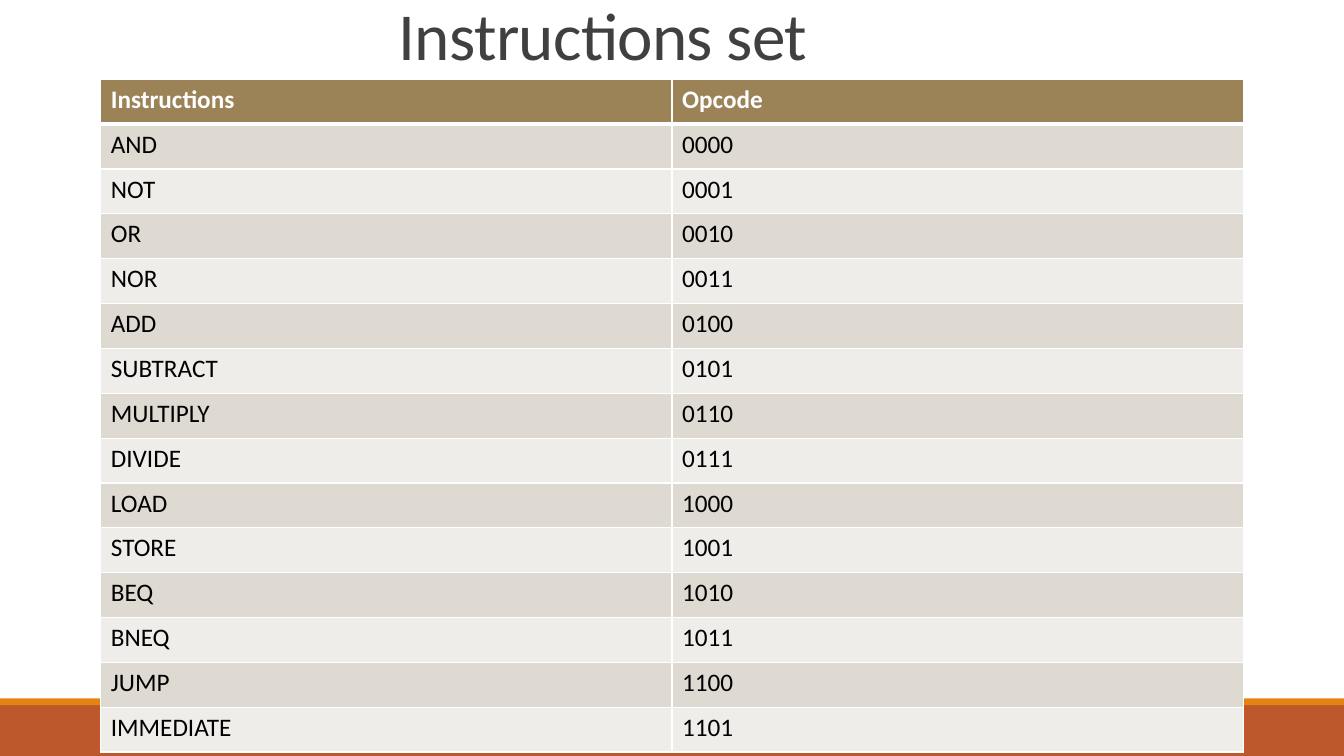
from lxml import etree
from pptx import Presentation
from pptx.dml.color import RGBColor
from pptx.enum.shapes import MSO_SHAPE
from pptx.enum.text import MSO_ANCHOR, PP_ALIGN
from pptx.oxml.ns import qn
from pptx.util import Cm, Pt

RECTANGLE = MSO_SHAPE.RECTANGLE
BOTTOM = MSO_ANCHOR.BOTTOM
CENTER = PP_ALIGN.CENTER

WHITE = RGBColor(0xFF, 0xFF, 0xFF)
BLACK = RGBColor(0x00, 0x00, 0x00)
GREY = RGBColor(0x40, 0x40, 0x40)
RUST = RGBColor(0xBD, 0x58, 0x2C)
ORANGE = RGBColor(0xE4, 0x83, 0x12)
HEADER = RGBColor(0x9B, 0x83, 0x57)
BANDS = (RGBColor(0xEF, 0xED, 0xEA), RGBColor(0xDE, 0xD9, 0xD1))

FONT = "Calibri"
PAGE_WIDTH, PAGE_HEIGHT = Cm(33.87), Cm(19.05)
INSTRUCTIONS = ("AND", "NOT", "OR", "NOR", "ADD", "SUBTRACT", "MULTIPLY",
                "DIVIDE", "LOAD", "STORE", "BEQ", "BNEQ", "JUMP", "IMMEDIATE")


def add_span(para, text, size, color, bold=False):
    """Add one formatted run to a paragraph."""
    span = para.add_run()
    span.text = text
    span.font.name = FONT
    span.font.size = Pt(size)
    span.font.bold = bold
    span.font.color.rgb = color
    return span


def add_footer(page, left, top, width, height):
    """Draw the footer band with a thin stripe along its top."""
    stripe = Cm(0.17)
    for y, depth, color in ((top + stripe, height - stripe, RUST),
                            (top, stripe, ORANGE)):
        band = page.shapes.add_shape(RECTANGLE, left, y, width, depth)
        band.shadow.inherit = False
        band.fill.solid()
        band.fill.fore_color.rgb = color
        band.line.fill.background()


def add_title(page, left, top, width, height):
    """Place the centred title at the bottom of its box."""
    box = page.shapes.add_textbox(left, top, width, height)
    frame = box.text_frame
    frame.word_wrap = True
    frame.vertical_anchor = BOTTOM
    para = frame.paragraphs[0]
    para.alignment = CENTER
    para.line_spacing = 0.85
    span = add_span(para, "Instructions set", 48, GREY)
    span.font._element.set("spc", "-50")


def add_borders(cell, top, bottom):
    """Give a cell white borders, with top and bottom widths in points."""
    properties = cell._tc.get_or_add_tcPr()
    for side, width in (("L", 1), ("R", 1), ("T", top), ("B", bottom)):
        line = etree.SubElement(properties, qn("a:ln" + side), w=str(Pt(width)))
        fill = etree.SubElement(line, qn("a:solidFill"))
        etree.SubElement(fill, qn("a:srgbClr"), val=str(WHITE))


def add_opcode_table(page, left, top, width, height):
    """Fill the table that numbers each instruction in binary."""
    rows = [("Instructions", "Opcode")]
    rows += [(name, f"{code:04b}") for code, name in enumerate(INSTRUCTIONS)]
    table = page.shapes.add_table(len(rows), 2, left, top, width, height).table
    table.horz_banding = False
    for row, values in enumerate(rows):
        is_header = row == 0
        for column, text in enumerate(values):
            cell = table.cell(row, column)
            add_borders(cell, 3 if row == 1 else 1, 3 if is_header else 1)
            cell.fill.solid()
            cell.fill.fore_color.rgb = HEADER if is_header else BANDS[row % 2]
            add_span(cell.text_frame.paragraphs[0], text, 18,
                     WHITE if is_header else BLACK, is_header)


def main():
    """Build and save the deck."""
    deck = Presentation()
    deck.slide_width, deck.slide_height = PAGE_WIDTH, PAGE_HEIGHT
    page = deck.slides.add_slide(deck.slide_layouts[6])
    add_footer(page, 0, Cm(17.6), PAGE_WIDTH, PAGE_HEIGHT - Cm(17.6))
    add_title(page, Cm(7), 0, Cm(16.4), Cm(2))
    add_opcode_table(page, Cm(2.54), Cm(2), Cm(28.79), Cm(16.95))
    deck.save("out.pptx")


if __name__ == "__main__":
    main()
